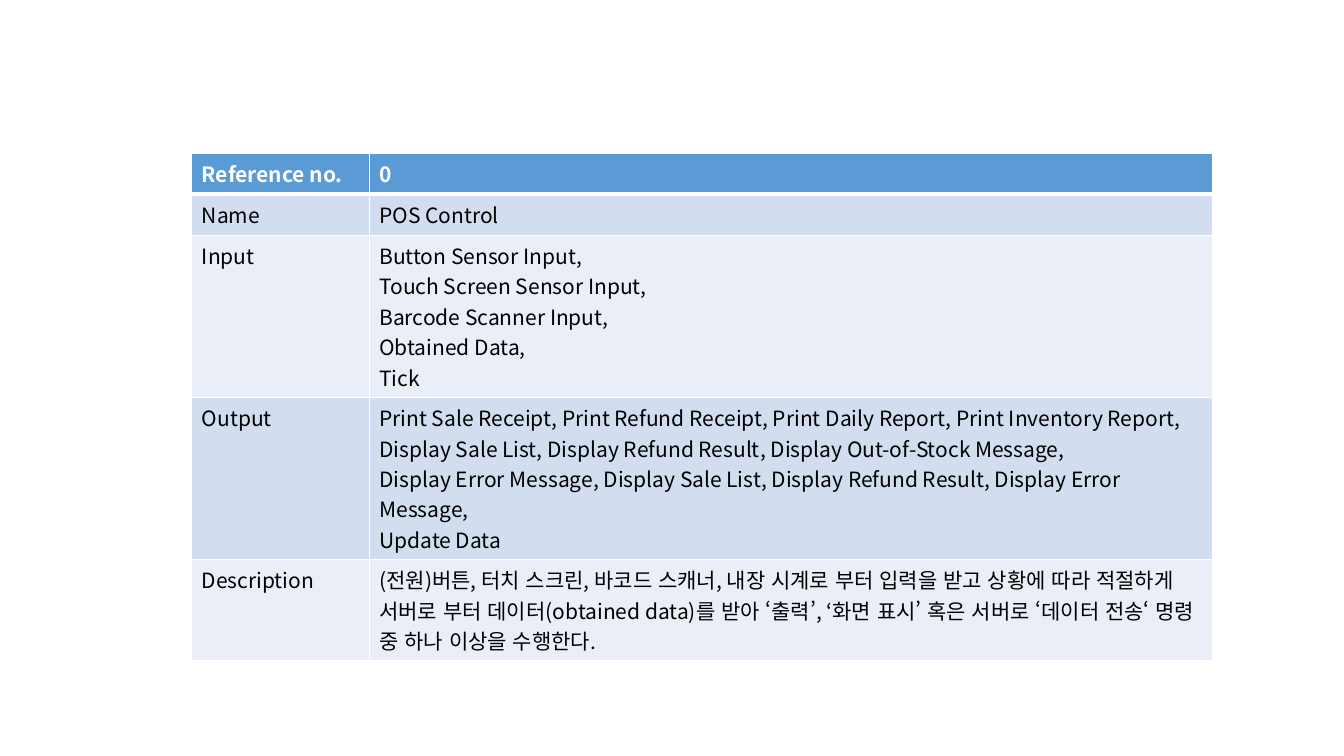
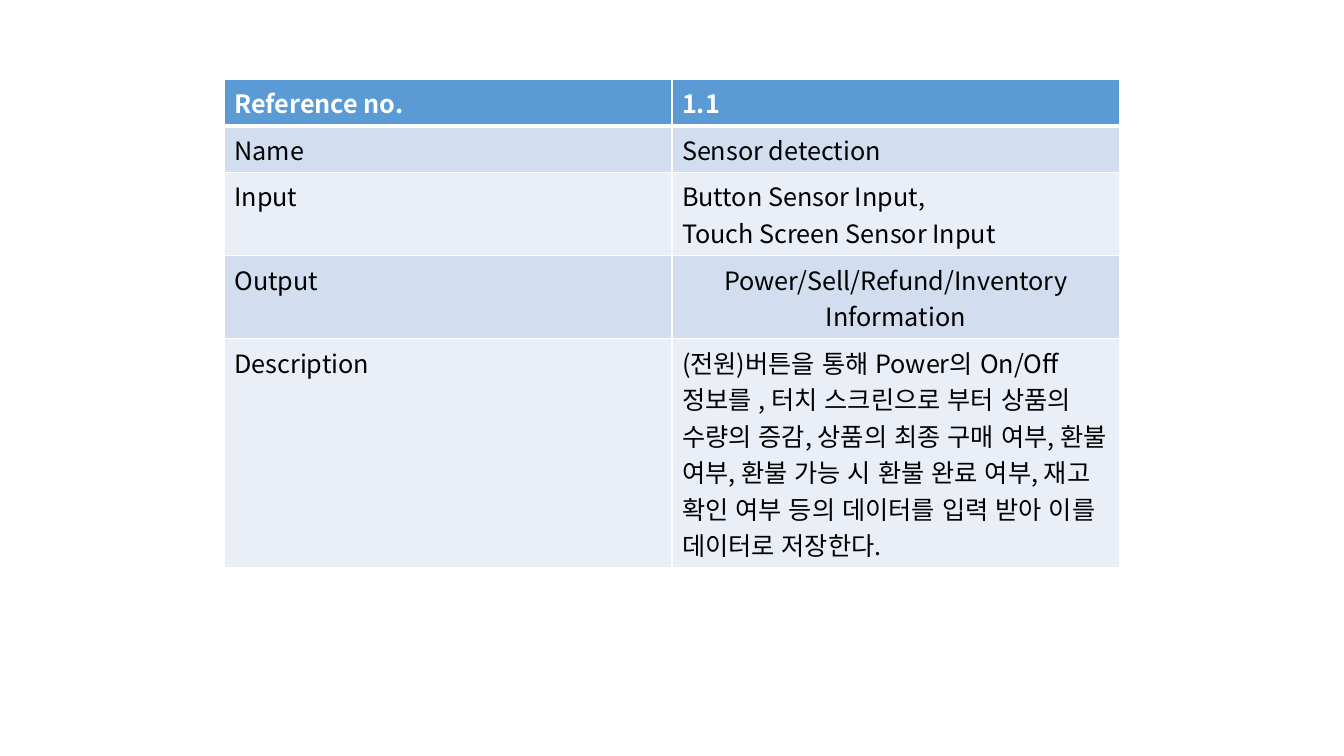
"""Build two slides, each holding one process specification table."""
from dataclasses import dataclass

from lxml.etree import SubElement as Sub
from pptx import Presentation as Deck
from pptx.dml.color import RGBColor as Rgb
from pptx.enum.lang import MSO_LANGUAGE_ID as Lang
from pptx.enum.text import PP_ALIGN as Align
from pptx.oxml.ns import qn
from pptx.util import Pt


@dataclass(frozen=True)
class Theme:
    """Colours, font and line widths shared by the tables."""

    head: str = "5B9BD5"
    bands: tuple = ("D2DEEF", "EAEFF7")
    ink: str = "000000"
    white: str = "FFFFFF"
    face: str = "Noto Sans CJK KR"
    thin: float = 1
    thick: float = 3
    row: float = 29.2


LOOK = Theme()

LABELS = ("Reference no.", "Name", "Input", "Output", "Description")

SPECS = [
    {
        "at": (137, 109.6),
        "cols": (126.8, 602.4),
        "size": 15,
        "centre": (),
        "values": [
            ["0"],
            ["POS Control"],
            [
                "Button Sensor Input,",
                "Touch Screen Sensor Input,",
                "Barcode Scanner Input,",
                "Obtained Data,",
                "Tick",
            ],
            [
                "Print Sale Receipt, Print Refund Receipt, Print Daily Report, "
                "Print Inventory Report,",
                "Display Sale List, Display Refund Result, "
                "Display Out-of-Stock Message,",
                "Display Error Message, Display Sale List, "
                "Display Refund Result, Display Error Message,",
                "Update Data",
            ],
            [
                "(전원)버튼, 터치 스크린, 바코드 스캐너, 내장 시계로 부터 입력을 받고 "
                "상황에 따라 적절하게 서버로 부터 데이터(obtained data)를 받아 "
                "‘출력’, ‘화면 표시’ 혹은 서버로 ‘데이터 전송‘ 명령 중 "
                "하나 이상을 수행한다.",
            ],
        ],
    },
    {
        "at": (160.2, 56.8),
        "cols": (319.8, 319.8),
        "size": 18,
        "centre": ("Output",),
        "values": [
            ["1.1"],
            ["Sensor detection"],
            ["Button Sensor Input,", "Touch Screen Sensor Input"],
            ["Power/Sell/Refund/Inventory", "Information"],
            [
                "(전원)버튼을 통해 Power의 On/Off 정보를 , 터치 스크린으로 부터 "
                "상품의 수량의 증감, 상품의 최종 구매 여부, 환불 여부, "
                "환불 가능 시 환불 완료 여부, 재고 확인 여부 등의 데이터를 "
                "입력 받아 이를 데이터로 저장한다.",
            ],
        ],
    },
]


def edge(cell, row):
    """Draw white borders, heavier below the header row."""
    props = cell._tc.get_or_add_tcPr()
    heavy = {(0, "B"), (1, "T")}
    for side in "LRTB":
        wide = LOOK.thick if (row, side) in heavy else LOOK.thin
        line = Sub(props, qn(f"a:ln{side}"), w=str(Pt(wide)))
        Sub(Sub(line, qn("a:solidFill")), qn("a:srgbClr"), val=LOOK.white)


def write(cell, lines, size, head, align):
    """Fill a cell with one paragraph per line."""
    frame = cell.text_frame
    for num, text in enumerate(lines):
        para = frame.add_paragraph() if num else frame.paragraphs[0]
        para.alignment = align
        run = para.add_run()
        run.text = text
        font = run.font
        font.size, font.bold, font.name = Pt(size), head, LOOK.face
        font.color.rgb = Rgb.from_string(LOOK.white if head else LOOK.ink)
        font.language_id = Lang.KOREAN
        Sub(run._r.get_or_add_rPr(), qn("a:ea"), typeface=LOOK.face)


def draw(slide, spec):
    """Add the table for one specification."""
    cols = spec["cols"]
    box = [*spec["at"], sum(cols), LOOK.row * len(LABELS)]
    grid = slide.shapes.add_table(len(LABELS), len(cols), *map(Pt, box)).table
    for col, wide in zip(grid.columns, cols):
        col.width = Pt(wide)
    for row, (label, value) in enumerate(zip(LABELS, spec["values"])):
        head = row == 0
        fill = LOOK.head if head else LOOK.bands[(row - 1) % 2]
        mid = Align.CENTER if label in spec["centre"] else Align.LEFT
        for col, (lines, align) in enumerate((([label], Align.LEFT), (value, mid))):
            cell = grid.cell(row, col)
            edge(cell, row)
            cell.fill.solid()
            cell.fill.fore_color.rgb = Rgb.from_string(fill)
            write(cell, lines, spec["size"], head, align)


def main():
    """Make and save the deck."""
    deck = Deck()
    deck.slide_width, deck.slide_height = Pt(960), Pt(540)
    blank = deck.slide_layouts[6]
    for spec in SPECS:
        draw(deck.slides.add_slide(blank), spec)
    deck.save("out.pptx")


if __name__ == "__main__":
    main()
